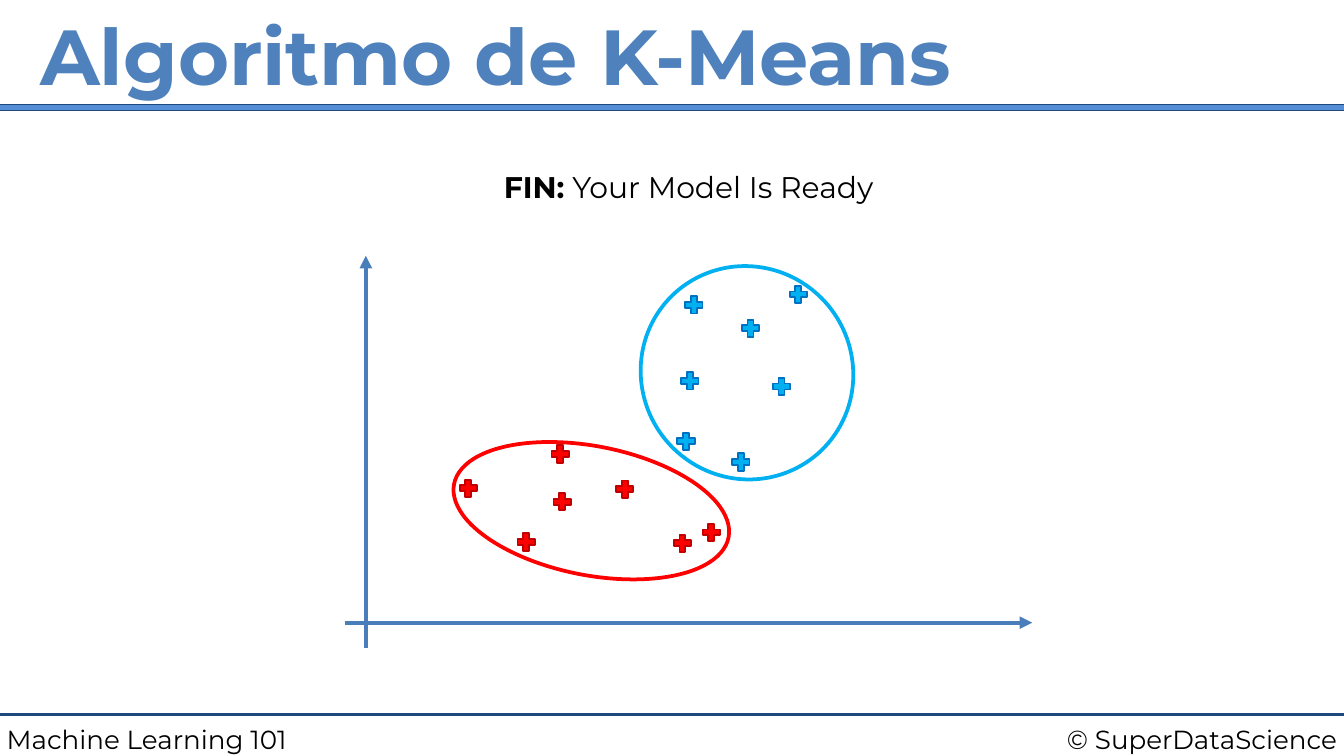
from lxml import etree
from pptx import Presentation
from pptx.dml.color import RGBColor
from pptx.enum.shapes import MSO_CONNECTOR, MSO_SHAPE
from pptx.enum.text import MSO_ANCHOR, PP_ALIGN
from pptx.oxml.ns import qn
from pptx.util import Pt

LINE = MSO_CONNECTOR.STRAIGHT
RECT, OVAL, CROSS = MSO_SHAPE.RECTANGLE, MSO_SHAPE.OVAL, MSO_SHAPE.CROSS
LEFT, MID, RIGHT = PP_ALIGN.LEFT, PP_ALIGN.CENTER, PP_ALIGN.RIGHT
TOP, CENTER = MSO_ANCHOR.TOP, MSO_ANCHOR.MIDDLE

FONT = "Montserrat"
WIDTH, HEIGHT = 720, 405
MARK = 9.3
COLORS = {
    "text": "000000", "title": "4F81BD", "band": "558ED5", "rule": "1F497D",
    "axis": "4A7EBB", "blue": "00B0F0", "blue edge": "0070C0",
    "red": "FF0000", "red edge": "C00000",
}
# Marker centres and ellipses are relative to the plot's top left corner.
GROUPS = [
    {"color": "blue", "oval": (159.7, 5.1, 113, 115.2), "turn": 320,
     "marks": [(234.7, 70.1), (183.5, 99.5), (212.9, 110.5), (185.6, 67),
               (243.7, 20.8), (187.7, 26.3), (218.1, 38.9)]},
    {"color": "red", "oval": (98.2, 61.7, 69.1, 149.8), "turn": 101,
     "marks": [(97.9, 153.4), (197.1, 148.3), (117.2, 131.8), (181.6, 154.1),
               (66.9, 124.6), (116.1, 106.2), (150.7, 125.1)]},
]


def rgb(name):
    return RGBColor.from_string(COLORS[name])


def add_text(slide, box, text, size=14, color="text", bold=False,
             align=LEFT, anchor=TOP, lead=""):
    """Write text, after an optional bold lead, in a box."""
    frame = slide.shapes.add_textbox(*map(Pt, box)).text_frame
    frame.word_wrap = True
    frame.vertical_anchor = anchor
    frame.margin_left = frame.margin_right = Pt(3.6)
    frame.margin_top = frame.margin_bottom = Pt(3.6)
    para = frame.paragraphs[0]
    para.alignment = align
    for part, heavy in ((lead, True), (text, bold)):
        if part:
            run = para.add_run()
            run.text = part
            run.font.name = FONT
            run.font.size = Pt(size)
            run.font.bold = heavy
            run.font.color.rgb = rgb(color)


def add_shape(slide, kind, box, edge, weight, fill=None):
    shape = slide.shapes.add_shape(kind, *map(Pt, box))
    shape.shadow.inherit = False
    if fill:
        shape.fill.solid()
        shape.fill.fore_color.rgb = rgb(fill)
    else:
        shape.fill.background()
    shape.line.color.rgb = rgb(edge)
    shape.line.width = Pt(weight)
    return shape


def add_line(slide, start, end, color, weight, arrow=False):
    line = slide.shapes.add_connector(LINE, *map(Pt, (*start, *end)))
    line.line.color.rgb = rgb(color)
    line.line.width = Pt(weight)
    props = line._element.spPr
    if arrow:
        etree.SubElement(props.find(qn("a:ln")), qn("a:tailEnd"), type="triangle")
    etree.SubElement(props, qn("a:effectLst"))


def add_header(slide, box):
    x, y, w, h = box
    add_shape(slide, RECT, (x - 3, y + h - 2, w + 6, 3.3), "rule", 0.75, "band")
    add_text(slide, (x + 18, y, w - 36, h), "Algoritmo de K-Means",
             size=41.8, color="title", bold=True, anchor=CENTER)


def add_footer(slide, box):
    x, y, w, h = box
    add_line(slide, (x, y), (x + w, y), "rule", 1.5)
    half = w / 2
    add_text(slide, (x, y + 0.9, half, h), "Machine Learning 101")
    add_text(slide, (x + half, y + 0.9, half, h), "© SuperDataScience", align=RIGHT)


def add_plot(slide, box):
    """Draw both axes, then the markers, then the cluster outlines."""
    x, y, w, h = box
    across, down = x + 12, y + 196.6
    add_line(slide, (across, y + h), (across, y), "axis", 2.25, arrow=True)
    add_line(slide, (x + 0.6, down), (x + w, down), "axis", 2.25, arrow=True)
    for group in GROUPS:
        color = group["color"]
        for dx, dy in group["marks"]:
            spot = (x + dx - MARK / 2, y + dy - MARK / 2, MARK, MARK)
            mark = add_shape(slide, CROSS, spot, color + " edge", 1, color)
            mark.adjustments[0] = 0.33
    for group in GROUPS:
        dx, dy, wide, high = group["oval"]
        oval = add_shape(slide, OVAL, (x + dx, y + dy, wide, high), group["color"], 2)
        oval.rotation = group["turn"]


def main():
    deck = Presentation()
    deck.slide_width, deck.slide_height = Pt(WIDTH), Pt(HEIGHT)
    slide = deck.slides.add_slide(deck.slide_layouts[6])
    add_footer(slide, (0, 383, WIDTH, 24.5))
    add_header(slide, (0, 0, WIDTH, 58))
    add_plot(slide, (184, 137, 369, 210))
    add_text(slide, (156, 86.7, 426, 26), " Your Model Is Ready",
             size=16, align=MID, lead="FIN:")
    deck.save("out.pptx")


if __name__ == "__main__":
    main()
